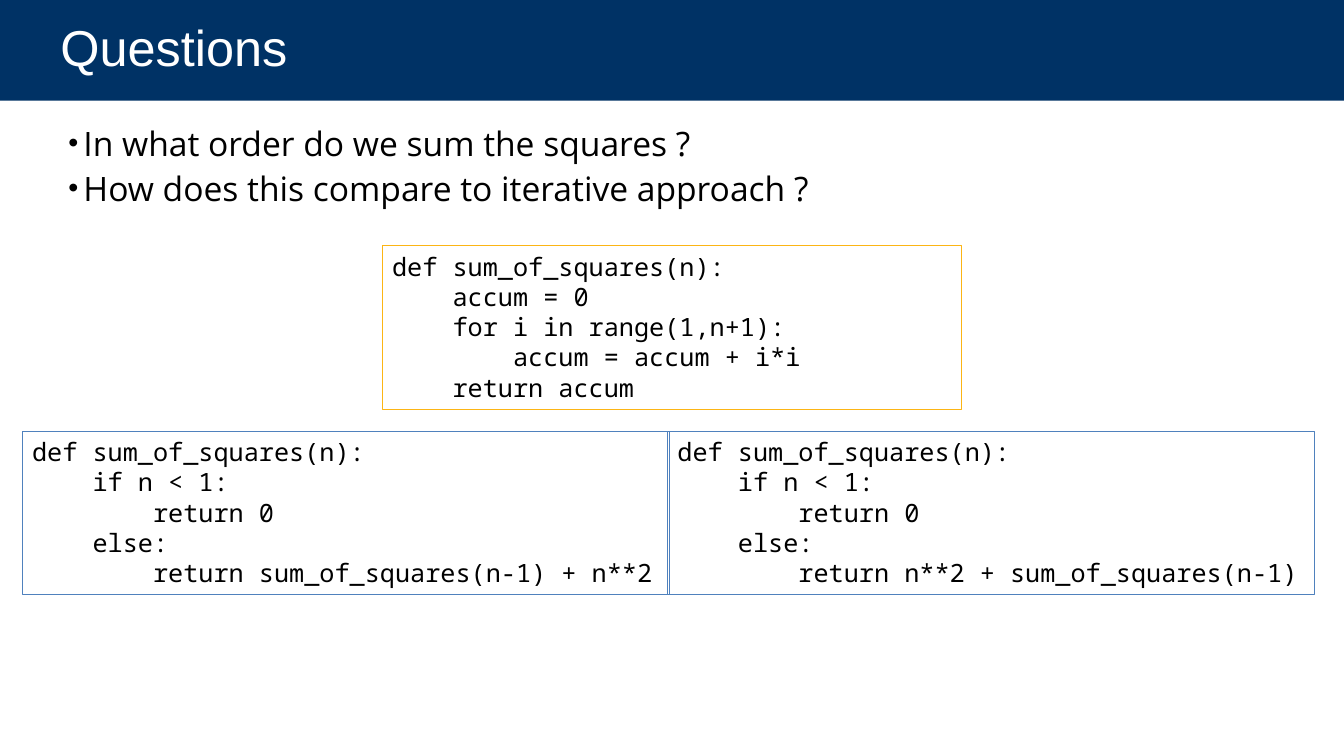
from pptx import Presentation
from pptx.util import Inches, Pt
from pptx.dml.color import RGBColor as Rgb
from pptx.enum.shapes import MSO_SHAPE as Shape
from pptx.enum.text import MSO_ANCHOR as Anchor, PP_ALIGN as Align
from lxml.etree import SubElement

TITLE = ["Questions"]
ASKS = [
    "In what order do we sum the squares ?",
    "How does this compare to iterative approach ?",
]
LOOP = """def sum_of_squares(n):
    accum = 0
    for i in range(1,n+1):
        accum = accum + i*i
    return accum"""
RECUR = """def sum_of_squares(n):
    if n < 1:
        return 0
    else:
        return {}"""
SUMS = ["sum_of_squares(n-1) + n**2", "n**2 + sum_of_squares(n-1)"]
HUES = {"navy": "003265", "gold": "FCB515", "blue": "4F81BD",
        "white": "FFFFFF", "black": "000000"}
WIDE, HIGH = 13.33, 7.5
CODE_H, LOOP_W, PAIR_W = 1.62, 5.75, 6.42
PAIR_X, PAIR_STEP = 0.22, 6.4
NS = "{http://schemas.openxmlformats.org/drawingml/2006/main}"


def color(name):
    return Rgb.from_string(HUES[name])


def bullet(para):
    props = para._p.get_or_add_pPr()
    props.set("marL", str(Inches(0.15)))
    props.set("indent", str(-Inches(0.15)))
    SubElement(props, NS + "buSzPct", val="85000")
    SubElement(props, NS + "buFont", typeface="Arial")
    SubElement(props, NS + "buChar", char="•")


def write(shape, lines, font="Noto Sans Mono", size=18, hue="black",
          anchor=Anchor.TOP, left=0.1, right=0.1, lead=None, gap=0, dots=False):
    frame = shape.text_frame
    frame.word_wrap = True
    frame.vertical_anchor = anchor
    frame.margin_left, frame.margin_right = Inches(left), Inches(right)
    frame.margin_top = frame.margin_bottom = Inches(0.05)
    for i, line in enumerate(lines):
        para = frame.add_paragraph() if i else frame.paragraphs[0]
        para.alignment = Align.LEFT
        if lead:
            para.line_spacing = lead
        if i and gap:
            para.space_before = Pt(gap)
        if dots:
            bullet(para)
        run = para.add_run()
        run.text = line
        run.font.name, run.font.size = font, Pt(size)
        run.font.color.rgb = color(hue)


def box(slide, x, y, w, h, fill=None, edge=None):
    shape = slide.shapes.add_shape(Shape.RECTANGLE, *map(Inches, (x, y, w, h)))
    shape.shadow.inherit = False
    if fill:
        shape.fill.solid()
        shape.fill.fore_color.rgb = color(fill)
    else:
        shape.fill.background()
    if edge:
        shape.line.color.rgb = color(edge)
        shape.line.width = Pt(0.75)
    else:
        shape.line.fill.background()
    return shape


def main():
    deck = Presentation()
    deck.slide_width, deck.slide_height = Inches(WIDE), Inches(HIGH)
    slide = deck.slides.add_slide(deck.slide_layouts[6])

    write(box(slide, 0, 0, WIDE, 1, fill="navy"), TITLE, font="Arial", size=36,
          hue="white", anchor=Anchor.MIDDLE, left=0.6, right=1, lead=0.9)
    body = slide.shapes.add_textbox(*map(Inches, (0.58, 1.17, 12.27, 5.75)))
    write(body, ASKS, font="Open Sans", size=24, gap=3, dots=True)

    loop = box(slide, (WIDE - LOOP_W) / 2, 2.44, LOOP_W, CODE_H, edge="gold")
    write(loop, LOOP.split("\n"))
    for i, total in enumerate(SUMS):
        pair = box(slide, PAIR_X + i * PAIR_STEP, 4.28, PAIR_W, CODE_H, edge="blue")
        write(pair, RECUR.format(total).split("\n"))

    deck.save("out.pptx")


if __name__ == "__main__":
    main()
